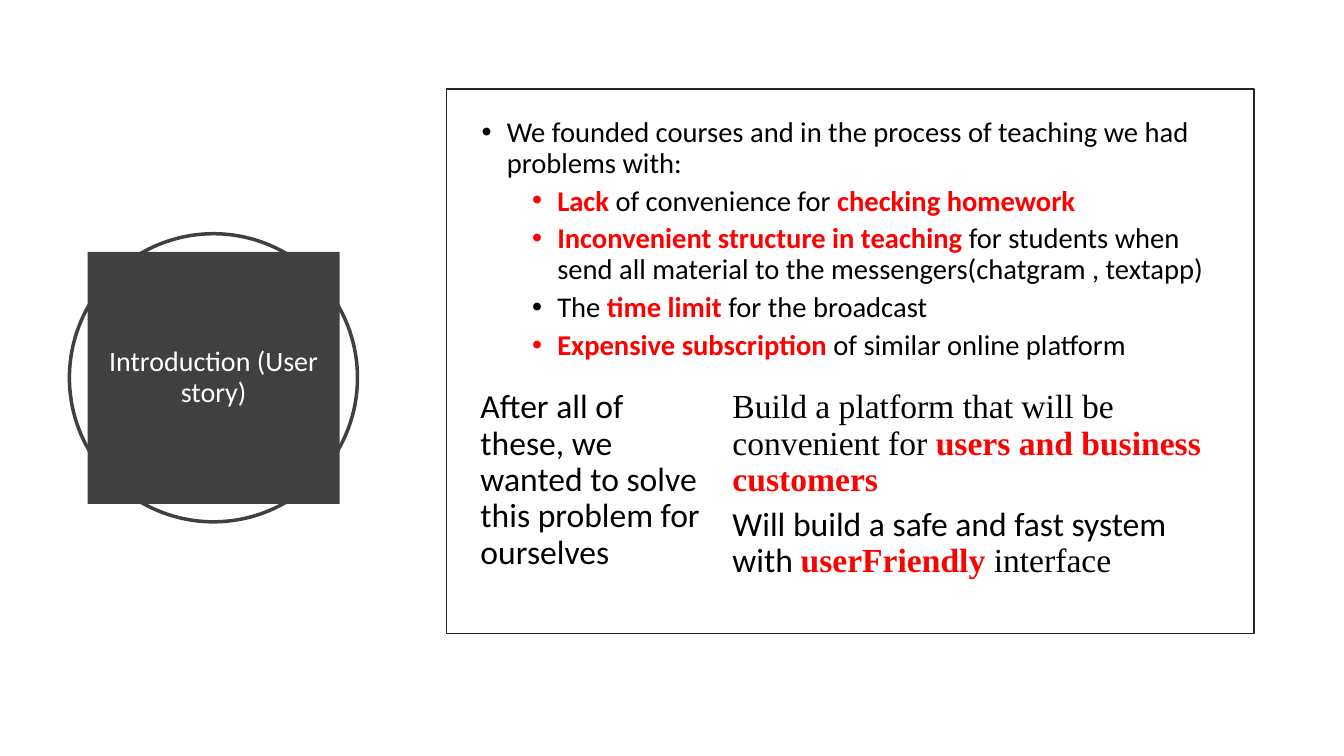
"""Build the introduction slide with its user story."""
from dataclasses import dataclass

from lxml import etree
from pptx import Presentation
from pptx.dml.color import RGBColor
from pptx.enum.shapes import MSO_SHAPE
from pptx.enum.text import MSO_ANCHOR, PP_ALIGN
from pptx.oxml.ns import qn
from pptx.util import Cm, Pt

OVAL, RECT = MSO_SHAPE.OVAL, MSO_SHAPE.RECTANGLE
TOP, MIDDLE = MSO_ANCHOR.TOP, MSO_ANCHOR.MIDDLE
LEFT, CENTER = PP_ALIGN.LEFT, PP_ALIGN.CENTER


@dataclass(frozen=True)
class Theme:
    """Colours, fonts and type sizes."""
    ink: str = "000000"
    hot: str = "FF0000"
    paper: str = "FFFFFF"
    dark: str = "404040"
    edge: str = "262626"
    sans: str = "Calibri"
    serif: str = "Times New Roman"
    title: float = 20
    list: float = 20.4
    note: float = 24


class Page:
    """Draw elements on one slide in one style."""

    def __init__(self, deck, theme):
        """Add a blank slide."""
        self.theme = theme
        self.slide = deck.slides.add_slide(deck.slide_layouts[6])

    def shape(self, kind, box, fill=None, line=None, width=1):
        """Add a preset shape."""
        shape = self.slide.shapes.add_shape(kind, *map(Cm, box))
        shape.shadow.inherit = False
        if fill:
            shape.fill.solid()
            shape.fill.fore_color.rgb = RGBColor.from_string(fill)
        else:
            shape.fill.background()
        if line:
            shape.line.color.rgb = RGBColor.from_string(line)
            shape.line.width = Pt(width)
        else:
            shape.line.fill.background()
        return shape

    def text(self, box):
        """Add an empty text box."""
        return self.slide.shapes.add_textbox(*map(Cm, box))

    def letter(self, shape, paras, size, after=0, align=LEFT, anchor=TOP):
        """Fill a shape with paragraphs and return them."""
        frame = shape.text_frame
        frame.word_wrap = True
        frame.vertical_anchor = anchor
        made = []
        for runs in paras:
            para = frame.add_paragraph() if made else frame.paragraphs[0]
            para.alignment = align
            para.line_spacing = 0.9
            para.space_before, para.space_after = Pt(0), Pt(after)
            for words, face, color, bold in runs:
                run = para.add_run()
                run.text = words
                font = run.font
                font.name, font.size, font.bold = face, Pt(size), bold
                font.color.rgb = RGBColor.from_string(color)
            made.append(para)
        return made

    def bullet(self, para, level):
        """Give a paragraph a hanging bullet."""
        para.level = level
        para.space_before = Pt(5 if level else 10)
        props = para._p.get_or_add_pPr()
        props.set("marL", str(Cm(0.635 + 1.27 * level)))
        props.set("indent", str(-Cm(0.635)))
        etree.SubElement(props, qn("a:buFont")).set("typeface", "Arial")
        etree.SubElement(props, qn("a:buChar")).set("char", "•")

    def plain(self, words, face=None, color=None):
        """Describe a regular run."""
        theme = self.theme
        return words, face or theme.sans, color or theme.ink, False

    def strong(self, words, face=None):
        """Describe a bold red run."""
        return words, face or self.theme.sans, self.theme.hot, True


def main():
    """Draw the slide and save it."""
    theme = Theme()
    deck = Presentation()
    deck.slide_width, deck.slide_height = Cm(33.87), Cm(19.05)
    page = Page(deck, theme)
    plain, strong = page.plain, page.strong

    page.shape(OVAL, (1.75, 5.89, 7.26, 7.26), line=theme.dark, width=2.5)
    page.shape(RECT, (11.25, 2.24, 20.35, 13.72), theme.paper, theme.edge)

    aim = page.text((11.86, 9.7, 6.2, 5.74))
    page.letter(aim, [[plain("After all of these, we wanted to solve this "
                             "problem for ourselves")]], theme.note, after=6)

    goals = page.text((18.21, 9.7, 12.45, 5.51))
    page.letter(goals, [
        [plain("Build a platform that will be convenient for ", theme.serif),
         strong("users and business customers", theme.serif)],
        [plain("Will build a safe and fast system with "),
         strong("userFriendly", theme.serif),
         plain(" interface", theme.serif)],
    ], theme.note, after=6)

    title = page.shape(RECT, (2.21, 6.35, 6.35, 6.35), theme.dark)
    page.letter(title, [[plain("Introduction (User story)",
                               color=theme.paper)]],
                theme.title, align=CENTER, anchor=MIDDLE)

    story = page.text((11.89, 2.84, 19.08, 6.78))
    lines = page.letter(story, [
        [plain("We founded courses and in the process of teaching we had "
               "problems with:")],
        [strong("Lack"), plain(" of convenience for "),
         strong("checking homework")],
        [strong("Inconvenient structure in teaching "),
         plain("for students when send all material to the "
               "messengers(chatgram , textapp)")],
        [plain("The "), strong("time limit "), plain("for the broadcast")],
        [strong("Expensive subscription "),
         plain("of similar online platform")],
    ], theme.list)
    for spot, line in enumerate(lines):
        page.bullet(line, min(spot, 1))

    deck.save("out.pptx")


if __name__ == "__main__":
    main()
